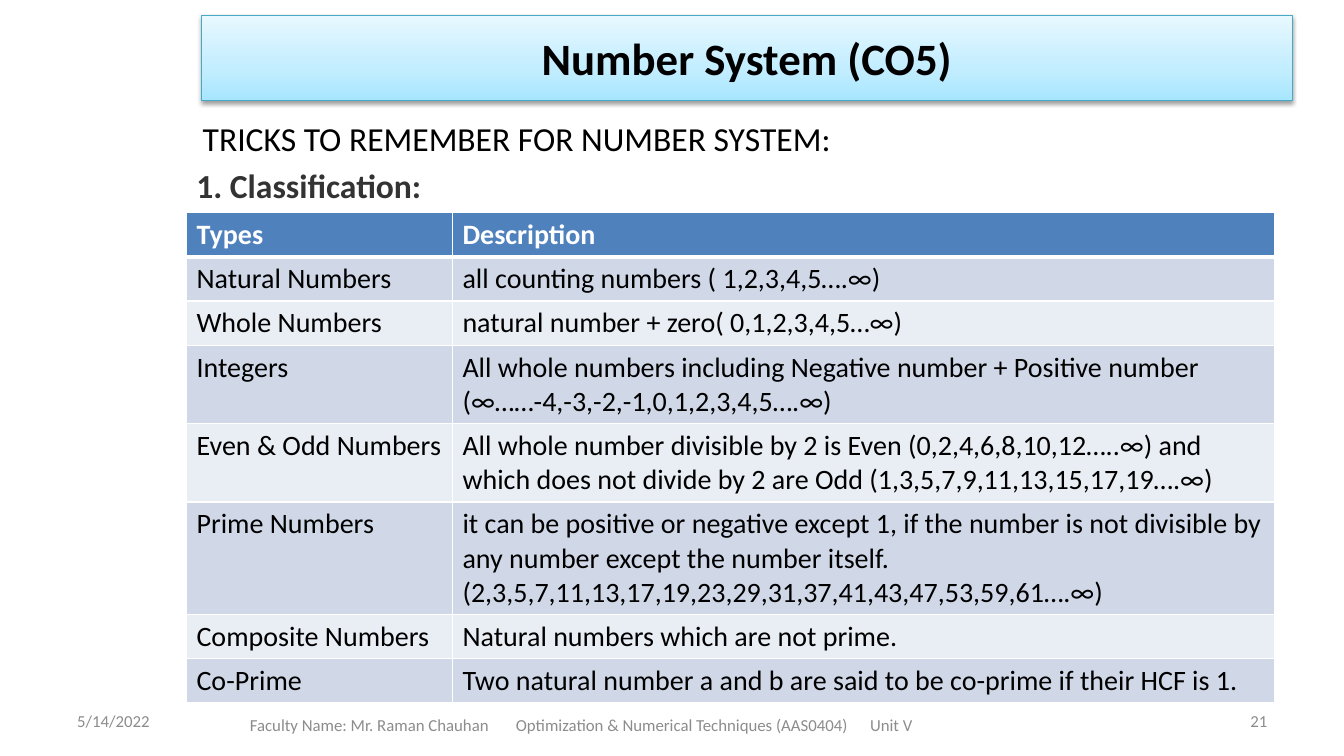
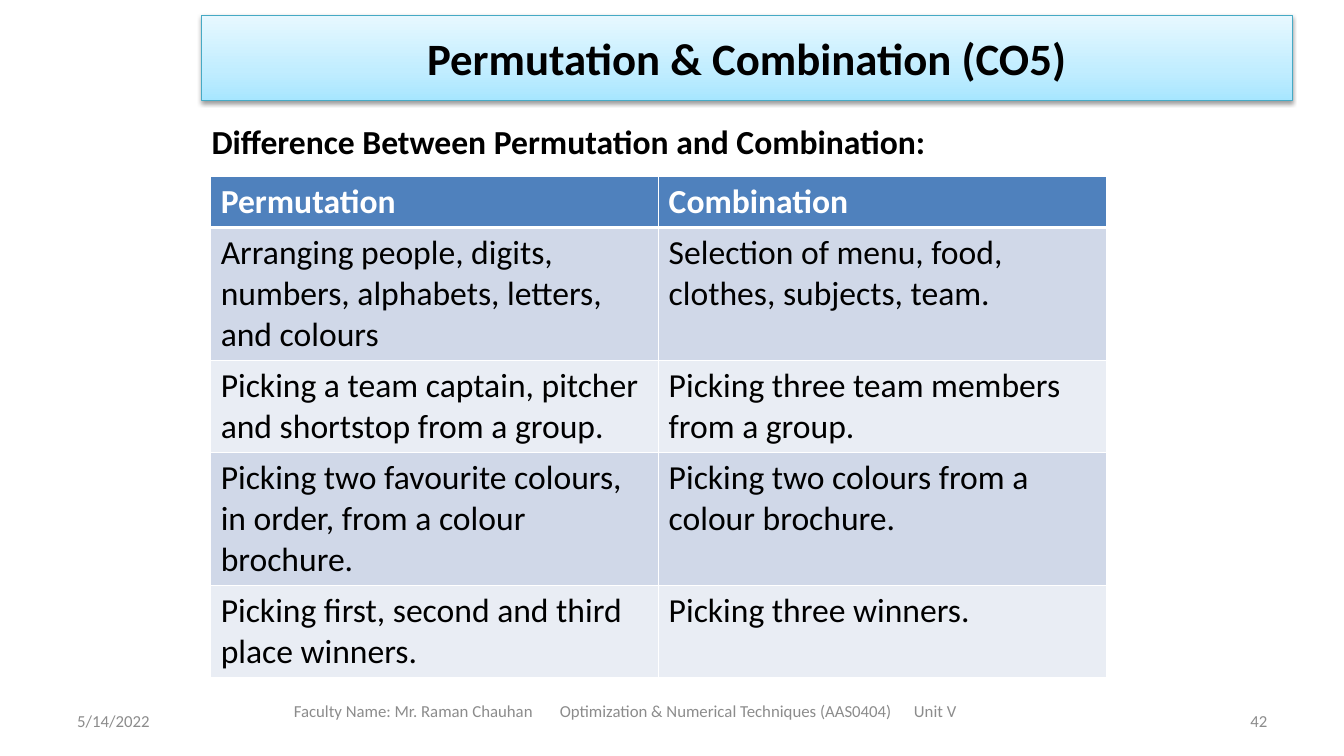
"""Build two course slides, each with a title band, a heading, a table and a footer."""
import pptx
import pptx.dml.color
import pptx.enum.shapes
import pptx.enum.text
import pptx.oxml
import pptx.oxml.ns
import pptx.util

Pt = pptx.util.Pt
RGB = pptx.dml.color.RGBColor
Align = pptx.enum.text.PP_ALIGN
Anchor = pptx.enum.text.MSO_ANCHOR
RECT = pptx.enum.shapes.MSO_SHAPE.RECTANGLE
NS = pptx.oxml.ns.nsdecls("a")

BLACK = RGB(0x00, 0x00, 0x00)
WHITE = RGB(0xFF, 0xFF, 0xFF)
DARK = RGB(0x33, 0x33, 0x33)
GREY = RGB(0x8C, 0x8C, 0x8C)
EDGE = RGB(0x46, 0xAA, 0xC5)
HEAD = RGB(0x4F, 0x81, 0xBD)
BANDS = [RGB(0xE9, 0xED, 0xF4), RGB(0xD0, 0xD8, 0xE8)]
STOPS = [(0, RGB(0xA7, 0xE6, 0xFF)), (35, RGB(0xC1, 0xED, 0xFF)),
         (100, RGB(0xE7, 0xF8, 0xFF))]

TITLE = {"size": Pt(32), "bold": True, "color": BLACK}
PLAIN = {"size": Pt(24), "bold": False, "color": BLACK}
STRONG = PLAIN | {"bold": True}
SMALL = {"size": Pt(12), "color": GREY}

BAND = (144, 10.8, 779, 61.2)
DATE = "5/14/2022"
COURSE = ["Faculty Name: Mr. Raman Chauhan",
          "Optimization & Numerical Techniques (AAS0404)", "Unit V"]
TABS = [190, 443]

SLIDES = [
    {
        "title": "Number System (CO5)",
        "page": "21",
        "lead": [("TRICKS TO REMEMBER FOR NUMBER SYSTEM:", PLAIN, 4.5),
                 ("1. Classification:", STRONG | {"color": DARK}, 0)],
        "box": (133.2, 80.6, 777.6, 72),
        "foot": (171.4, 503.3, 512, 28.8),
        "place": (133.2, 151.9),
        "cols": [190, 587.6],
        "size": 20,
        "lines": [1, 1, 1, 2, 2, 3, 1, 1],
        "rows": [
            ("Types", "Description"),
            ("Natural Numbers", "all counting numbers ( 1,2,3,4,5….∞)"),
            ("Whole Numbers", "natural number + zero( 0,1,2,3,4,5…∞)"),
            ("Integers",
             "All whole numbers including Negative number + Positive number\n"
             "(∞……-4,-3,-2,-1,0,1,2,3,4,5….∞)"),
            ("Even & Odd Numbers",
             "All whole number divisible by 2 is Even (0,2,4,6,8,10,12…..∞) and "
             "which does not divide by 2 are Odd (1,3,5,7,9,11,13,15,17,19….∞)"),
            ("Prime Numbers",
             "it can be positive or negative except 1, if the number is not "
             "divisible by any number except the number itself."
             "(2,3,5,7,11,13,17,19,23,29,31,37,41,43,47,53,59,61….∞)"),
            ("Composite Numbers", "Natural numbers which are not prime."),
            ("Co-Prime", "Two natural number a and b are said to be co-prime "
                         "if their HCF is 1."),
        ],
    },
    {
        "title": "Permutation & Combination (CO5)",
        "page": "42",
        "lead": [("Difference Between Permutation and Combination:", STRONG, 0)],
        "box": (144, 82.8, 779, 40),
        "foot": (202.8, 499.7, 512, 15.8),
        "place": (150.5, 126),
        "cols": [320, 320],
        "size": 24,
        "lines": [1, 3, 2, 3, 2],
        "rows": [
            ("Permutation", "Combination"),
            ("Arranging people, digits, numbers, alphabets, letters, and colours",
             "Selection of menu, food, clothes, subjects, team."),
            ("Picking a team captain, pitcher and shortstop from a group.",
             "Picking three team members from a group."),
            ("Picking two favourite colours, in order, from a colour brochure.",
             "Picking two colours from a colour brochure."),
            ("Picking first, second and third place winners.",
             "Picking three winners."),
        ],
    },
]


def style(para, form):
    para.font.name = "Calibri"
    for key, value in form.items():
        if key == "color":
            para.font.color.rgb = value
        else:
            setattr(para.font, key, value)


def write(frame, text, form, align=Align.LEFT):
    frame.text = text
    frame.word_wrap = True
    for para in frame.paragraphs:
        para.alignment = align
        style(para, form)


def label(slide, area, text, form, align=Align.LEFT):
    frame = slide.shapes.add_textbox(*map(Pt, area)).text_frame
    write(frame, text, form, align)
    frame.vertical_anchor = Anchor.MIDDLE
    return frame


def banner(slide, text):
    shape = slide.shapes.add_shape(RECT, *map(Pt, BAND))
    shape.line.color.rgb = EDGE
    shape.line.width = Pt(0.75)
    shape.shadow.inherit = False
    props = shape.element.spPr
    stops = "".join(f'<a:gs pos="{pos * 1000}"><a:srgbClr val="{tone}"/></a:gs>'
                    for pos, tone in STOPS)
    fill = pptx.oxml.parse_xml(
        f'<a:gradFill {NS} rotWithShape="1"><a:gsLst>{stops}</a:gsLst>'
        '<a:lin ang="16200000" scaled="0"/></a:gradFill>')
    props.find(pptx.oxml.ns.qn("a:prstGeom")).addnext(fill)
    shade = pptx.oxml.parse_xml(
        f'<a:outerShdw {NS} blurRad="{Pt(3.1)}" dist="{Pt(1.6)}" dir="5400000" '
        f'rotWithShape="0"><a:srgbClr val="{BLACK}"><a:alpha val="38000"/>'
        '</a:srgbClr></a:outerShdw>')
    props.find(pptx.oxml.ns.qn("a:effectLst")).append(shade)
    write(shape.text_frame, text, TITLE, Align.CENTER)
    shape.text_frame.vertical_anchor = Anchor.MIDDLE


def intro(slide, area, lead):
    frame = slide.shapes.add_textbox(*map(Pt, area)).text_frame
    write(frame, "\n".join(text for text, form, left in lead), PLAIN)
    for spot, (para, (text, form, left)) in enumerate(zip(frame.paragraphs, lead)):
        style(para, form)
        para.space_before = Pt(4.8 if spot else 0)
        para._p.get_or_add_pPr().set("marL", str(Pt(left)))


def footer(slide, page, area):
    label(slide, (48, 500.4, 224, 28.8), DATE, SMALL)
    label(slide, (688.3, 500.4, 224, 28.8), page, SMALL, Align.RIGHT)
    frame = label(slide, area, "", {})
    para = frame.paragraphs[0]
    stops = "".join(f'<a:tab pos="{Pt(pos)}" algn="l"/>' for pos in TABS)
    para._p.get_or_add_pPr().insert(
        0, pptx.oxml.parse_xml(f"<a:tabLst {NS}>{stops}</a:tabLst>"))
    run = para.add_run()
    run.text = "\t".join(COURSE)
    style(run, SMALL)


def border(cell, row):
    props = cell._tc.get_or_add_tcPr()
    for side in "LRTB":
        thick = (row, side) in [(0, "B"), (1, "T")]
        props.append(pptx.oxml.parse_xml(
            f'<a:ln{side} {NS} w="{Pt(3 if thick else 1)}"><a:solidFill>'
            f'<a:srgbClr val="{WHITE}"/></a:solidFill></a:ln{side}>'))


def grid(slide, data):
    rows, cols, size = data["rows"], data["cols"], data["size"]
    highs = [count * size * 1.22 + 7.2 for count in data["lines"]]
    area = (*data["place"], sum(cols), sum(highs))
    table = slide.shapes.add_table(len(rows), len(cols), *map(Pt, area)).table
    for col, wide in zip(table.columns, cols):
        col.width = Pt(wide)
    for num, (row, high) in enumerate(zip(rows, highs)):
        table.rows[num].height = Pt(high)
        top = num == 0
        form = {"size": Pt(size), "bold": top, "color": WHITE if top else BLACK}
        for cell, text in zip(table.rows[num].cells, row):
            border(cell, num)
            cell.fill.solid()
            cell.fill.fore_color.rgb = HEAD if top else BANDS[num % 2]
            write(cell.text_frame, text, form)


def main():
    deck = pptx.Presentation()
    deck.slide_width, deck.slide_height = Pt(960), Pt(540)
    for data in SLIDES:
        slide = deck.slides.add_slide(deck.slide_layouts[6])
        banner(slide, data["title"])
        intro(slide, data["box"], data["lead"])
        footer(slide, data["page"], data["foot"])
        grid(slide, data)
    deck.save("out.pptx")


if __name__ == "__main__":
    main()
